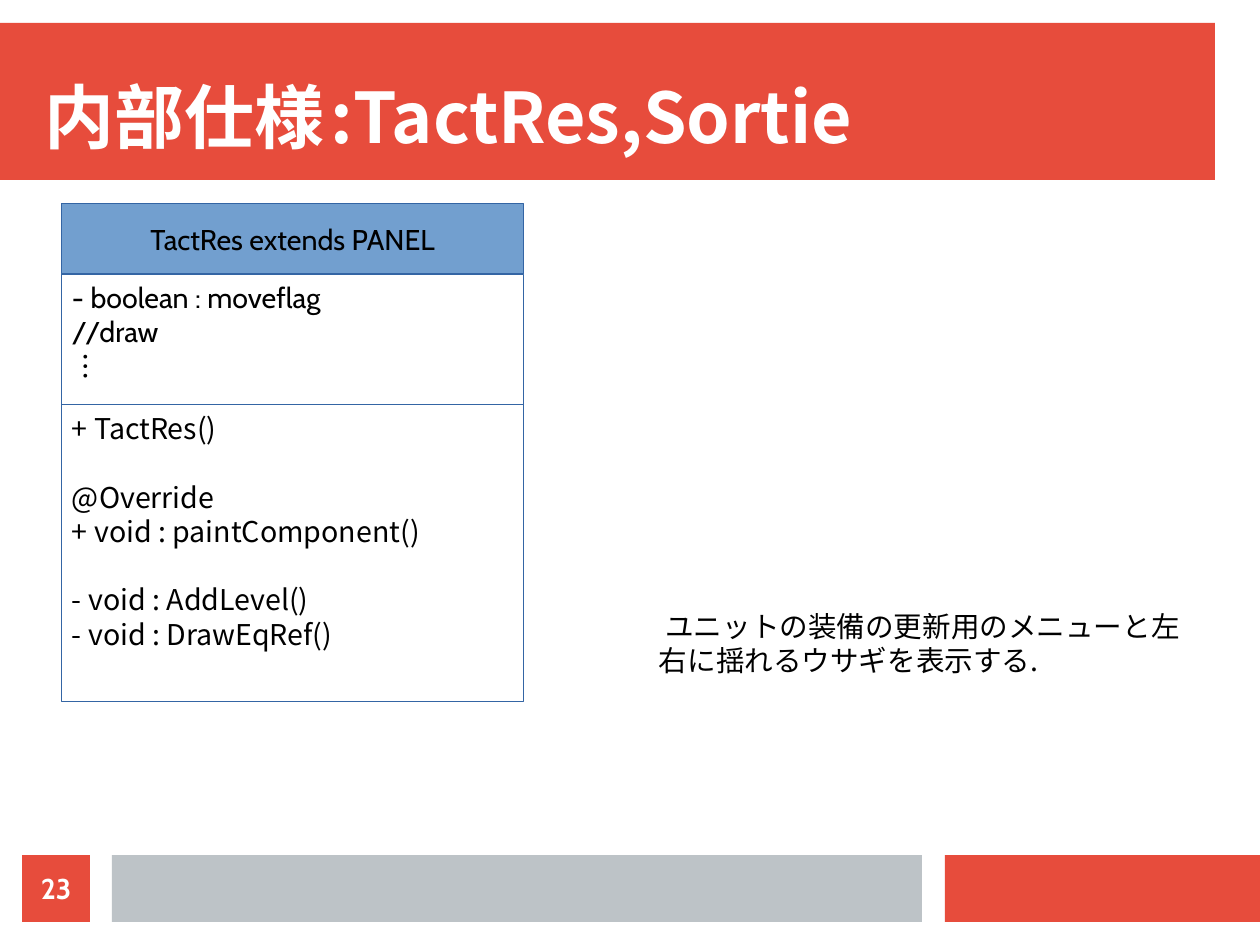
from lxml.etree import SubElement
from pptx import Presentation
from pptx.dml.color import RGBColor
from pptx.enum.shapes import MSO_SHAPE as Shape
from pptx.enum.text import MSO_ANCHOR as Anchor, PP_ALIGN as Align
from pptx.oxml.ns import qn
from pptx.util import Emu, Pt

TITLE = "内部仕様\t:TactRes,Sortie"
CLASS_NAME = "TactRes extends PANEL"
FIELDS = [["- boolean : moveflag", "//draw", "︙"]]
METHODS = [
    ["+ TactRes()"],
    ["@Override", "+ void : paintComponent()"],
    ["- void : AddLevel()", "- void : DrawEqRef()"],
]
NOTE = "\u3000ユニットの装備の更新用のメニューと左右に揺れるウサギを表示する.".replace("\u3000", " ")
PAGE = "23"

THEME = {
    "red": "E74C3C", "grey": "BDC3C7", "white": "FFFFFF", "black": "000000",
    "header": "729FCF", "border": "3465A4",
    "latin": "Cabin", "cjk": "Noto Sans CJK JP",
    "title": 44, "body": 18, "line": 21.6,
}
PX = 8000
SLIDE = (1260, 945)
BANNER = (0, 23, 1215, 157)
TITLE_BOX = (45, 45, 1170, 112)
NOTE_BOX = (648, 603, 566, 213)
FOOTER_TOP, FOOTER_H = 855, 67
FOOTER = [(22, 68, "red", PAGE), (112, 810, "grey", None), (945, 315, "red", None)]
CLASS_LEFT, CLASS_TOP, CLASS_W = 61, 204, 463
CLASS_ROWS = [
    (70, "header", [[CLASS_NAME]], "latin", Align.CENTER, Anchor.MIDDLE),
    (131, "white", FIELDS, "latin", Align.LEFT, Anchor.TOP),
    (297, "white", METHODS, "cjk", Align.LEFT, Anchor.TOP),
]


def color(name):
    return RGBColor.from_string(THEME[name])


def place(box):
    return [Emu(v * PX) for v in box]


def add_rect(s, box, fill, border=None):
    sp = s.shapes.add_shape(Shape.RECTANGLE, *place(box))
    sp.shadow.inherit = False
    sp.fill.solid()
    sp.fill.fore_color.rgb = color(fill)
    if border:
        sp.line.color.rgb = color(border)
        sp.line.width = Emu(PX)
    else:
        sp.line.fill.background()
    return sp


def write(sp, groups, font="cjk", size="body", ink="black", bold=False,
          align=Align.LEFT, anchor=Anchor.TOP, inset=(11, 6)):
    tf = sp.text_frame
    x, y = place(inset)
    frame = {"word_wrap": True, "vertical_anchor": anchor, "margin_left": x,
             "margin_right": x, "margin_top": y, "margin_bottom": y}
    for key, value in frame.items():
        setattr(tf, key, value)
    lines = [(g, i, text) for g, group in enumerate(groups)
             for i, text in enumerate(group)]
    for n, (g, i, text) in enumerate(lines):
        p = tf.add_paragraph() if n else tf.paragraphs[0]
        p.alignment = align
        if size == "body":
            p.line_spacing = Pt(THEME["line"])
        if g and not i:
            p.space_before = Pt(THEME["line"])
        r = p.add_run()
        r.text = text
        style = {"name": THEME[font], "size": Pt(THEME[size]), "bold": bold}
        for key, value in style.items():
            setattr(r.font, key, value)
        r.font.color.rgb = color(ink)
        SubElement(r.font._element, qn("a:ea")).set("typeface", THEME["cjk"])


def add_text(s, box, text, **style):
    write(s.shapes.add_textbox(*place(box)), [[text]], **style)


def main():
    prs = Presentation()
    prs.slide_width, prs.slide_height = place(SLIDE)
    s = prs.slides.add_slide(prs.slide_layouts[6])

    add_rect(s, BANNER, "red")
    add_text(s, TITLE_BOX, TITLE, size="title", ink="white", bold=True,
             anchor=Anchor.BOTTOM, inset=(0, 0))

    top = CLASS_TOP
    for height, fill, groups, font, align, anchor in CLASS_ROWS:
        sp = add_rect(s, (CLASS_LEFT, top, CLASS_W, height), fill, "border")
        write(sp, groups, font=font, align=align, anchor=anchor)
        top += height

    add_text(s, NOTE_BOX, NOTE)

    for left, width, fill, label in FOOTER:
        sp = add_rect(s, (left, FOOTER_TOP, width, FOOTER_H), fill)
        if label:
            write(sp, [[label]], font="latin", ink="white", bold=True,
                  align=Align.CENTER, anchor=Anchor.MIDDLE, inset=(0, 0))

    prs.save("out.pptx")


if __name__ == "__main__":
    main()
